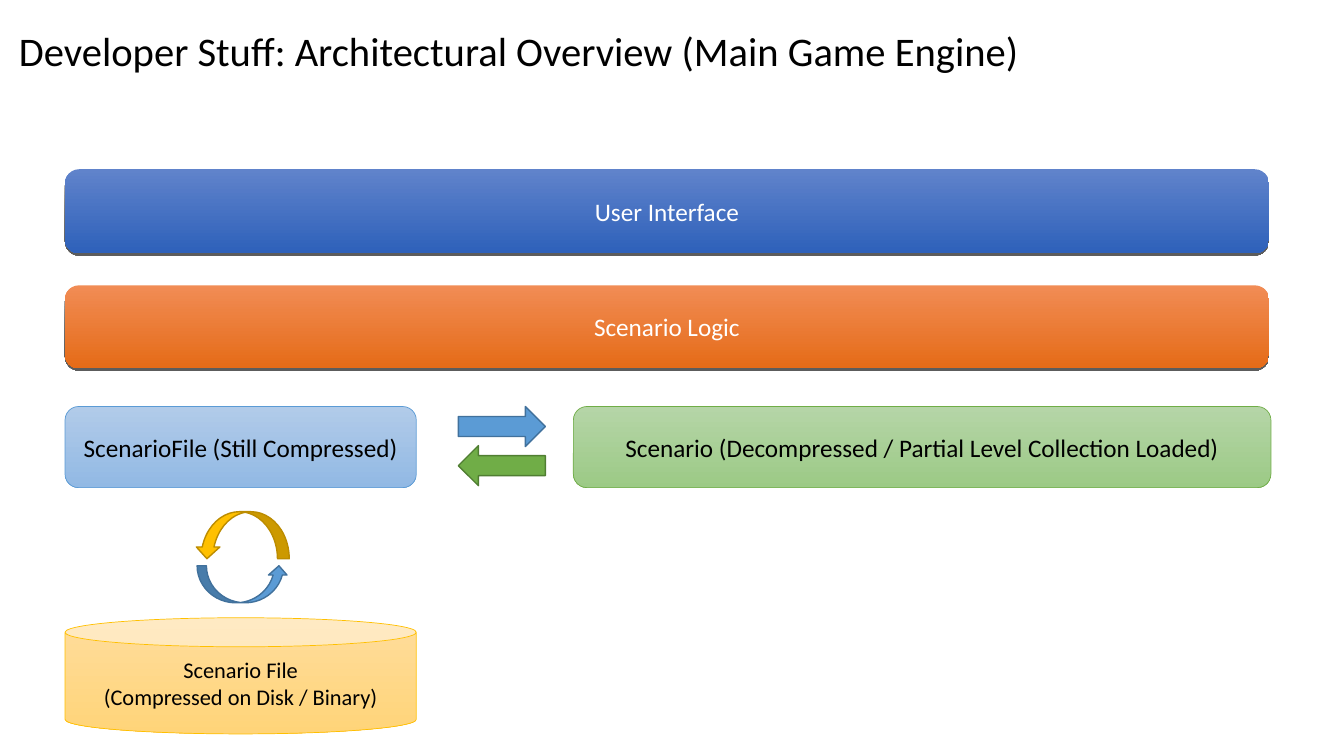
from dataclasses import dataclass

from lxml import etree
from pptx import Presentation
from pptx.dml.color import RGBColor
from pptx.enum.shapes import MSO_SHAPE
from pptx.enum.text import MSO_ANCHOR, PP_ALIGN
from pptx.oxml.ns import qn
from pptx.util import Emu, Pt

ROUNDED = MSO_SHAPE.ROUNDED_RECTANGLE
CAN = MSO_SHAPE.CAN
RIGHT_ARROW = MSO_SHAPE.RIGHT_ARROW
CURVED_ARROW = MSO_SHAPE.CURVED_UP_ARROW
MIDDLE = MSO_ANCHOR.MIDDLE
CENTER = PP_ALIGN.CENTER

EMU_PER_PX = 9080


@dataclass(frozen=True)
class Theme:
    font: str = "Calibri"
    title_size: int = 29
    box_size: int = 18
    disk_size: int = 16
    black: str = "000000"
    white: str = "FFFFFF"
    blue: str = "5B9BD5"
    blue_edge: str = "41719C"
    green: str = "70AD47"
    green_edge: str = "507E32"
    gold: str = "FFC000"
    gold_edge: str = "BC8C00"
    ui_fade: tuple[str, str] = ("6083CB", "2E61BA")
    logic_fade: tuple[str, str] = ("F18C55", "E56B17")
    file_fade: tuple[str, str] = ("B1CBE9", "92B9E4")
    scenario_fade: tuple[str, str] = ("B5D5A7", "9CCA86")
    disk_fade: tuple[str, str] = ("FFDD9C", "FFD479")


THEME = Theme()


@dataclass(frozen=True)
class Box:
    """A labelled block; one without an edge colour casts a shadow."""
    lines: tuple[str, ...]
    at: tuple[int, int, int, int]
    fade: tuple[str, str]
    color: str = THEME.black
    edge: str | None = None
    size: int = THEME.box_size
    kind: MSO_SHAPE = ROUNDED


@dataclass(frozen=True)
class Arrow:
    kind: MSO_SHAPE
    at: tuple[int, int, int, int]
    fill: str
    edge: str
    rotation: int = 0


# Shared edges of the layout, in px
LEFT, FULL_W, FILE_W = 65, 1203, 351
ROW_Y, ROW_H = 406, 81

BOXES = (
    Box(("User Interface",), (LEFT, 169, FULL_W, 84), THEME.ui_fade, THEME.white),
    Box(("Scenario Logic",), (LEFT, 285, FULL_W, 83), THEME.logic_fade, THEME.white),
    Box(("ScenarioFile (Still Compressed)",), (LEFT, ROW_Y, FILE_W, ROW_H),
        THEME.file_fade, edge=THEME.blue),
    Box(("Scenario (Decompressed / Partial Level Collection Loaded)",),
        (573, ROW_Y, 697, ROW_H), THEME.scenario_fade, edge=THEME.green),
    Box(("Scenario File", "(Compressed on Disk / Binary)"), (LEFT, 617, FILE_W, 116),
        THEME.disk_fade, edge=THEME.gold, size=THEME.disk_size, kind=CAN),
)

ARROWS = (
    Arrow(RIGHT_ARROW, (458, ROW_Y, 87, 40), THEME.blue, THEME.blue_edge),
    Arrow(RIGHT_ARROW, (458, 445, 87, 40), THEME.green, THEME.green_edge, 180),
    Arrow(CURVED_ARROW, (197, 565, 91, 37), THEME.blue, THEME.blue_edge),
    Arrow(CURVED_ARROW, (195, 511, 94, 47), THEME.gold, THEME.gold_edge, 180),
)


def px(*lengths: int) -> list[Emu]:
    return [Emu(n * EMU_PER_PX) for n in lengths]


def rgb(color: str) -> RGBColor:
    return RGBColor.from_string(color)


def add_shadow(sp) -> None:
    effects = sp._element.spPr.find(qn("a:effectLst"))
    shadow = etree.SubElement(effects, qn("a:outerShdw"), blurRad="0", dist="19050",
                              dir="5400000", algn="ctr", rotWithShape="0")
    color = etree.SubElement(shadow, qn("a:srgbClr"), val=THEME.black)
    etree.SubElement(color, qn("a:alpha"), val="63000")


def style_paragraph(p, size: int, color: str) -> None:
    p.font.name = THEME.font
    p.font.size = Pt(size)
    p.font.color.rgb = rgb(color)


def draw_title(slide, text: str) -> None:
    tf = slide.shapes.add_textbox(*px(9, 15, 1021, 77)).text_frame
    tf.word_wrap = True
    tf.vertical_anchor = MIDDLE
    p = tf.paragraphs[0]
    p.text = text
    p.line_spacing = 0.9
    style_paragraph(p, THEME.title_size, THEME.black)


def draw_box(slide, box: Box) -> None:
    sp = slide.shapes.add_shape(box.kind, *px(*box.at))
    sp.shadow.inherit = False
    sp.fill.gradient()
    sp.fill.gradient_angle = 270
    for stop, color in zip(sp.fill.gradient_stops, box.fade):
        stop.color.rgb = rgb(color)
    if box.edge:
        sp.line.color.rgb = rgb(box.edge)
        sp.line.width = Pt(0.5)
    else:
        sp.line.fill.background()
        add_shadow(sp)
    tf = sp.text_frame
    tf.word_wrap = True
    tf.vertical_anchor = MIDDLE
    tf.text = "\n".join(box.lines)
    for p in tf.paragraphs:
        p.alignment = CENTER
        style_paragraph(p, box.size, box.color)


def draw_arrow(slide, arrow: Arrow) -> None:
    sp = slide.shapes.add_shape(arrow.kind, *px(*arrow.at))
    sp.shadow.inherit = False
    sp.rotation = arrow.rotation
    sp.fill.solid()
    sp.fill.fore_color.rgb = rgb(arrow.fill)
    sp.line.color.rgb = rgb(arrow.edge)
    sp.line.width = Pt(1)


def main() -> None:
    prs = Presentation()
    prs.slide_width, prs.slide_height = px(1343, 755)
    slide = prs.slides.add_slide(prs.slide_layouts[6])

    draw_title(slide, "Developer Stuff: Architectural Overview (Main Game Engine)")

    # Layers and storage
    for box in BOXES:
        draw_box(slide, box)

    # Data flow between them
    for arrow in ARROWS:
        draw_arrow(slide, arrow)

    prs.save("out.pptx")


if __name__ == "__main__":
    main()
